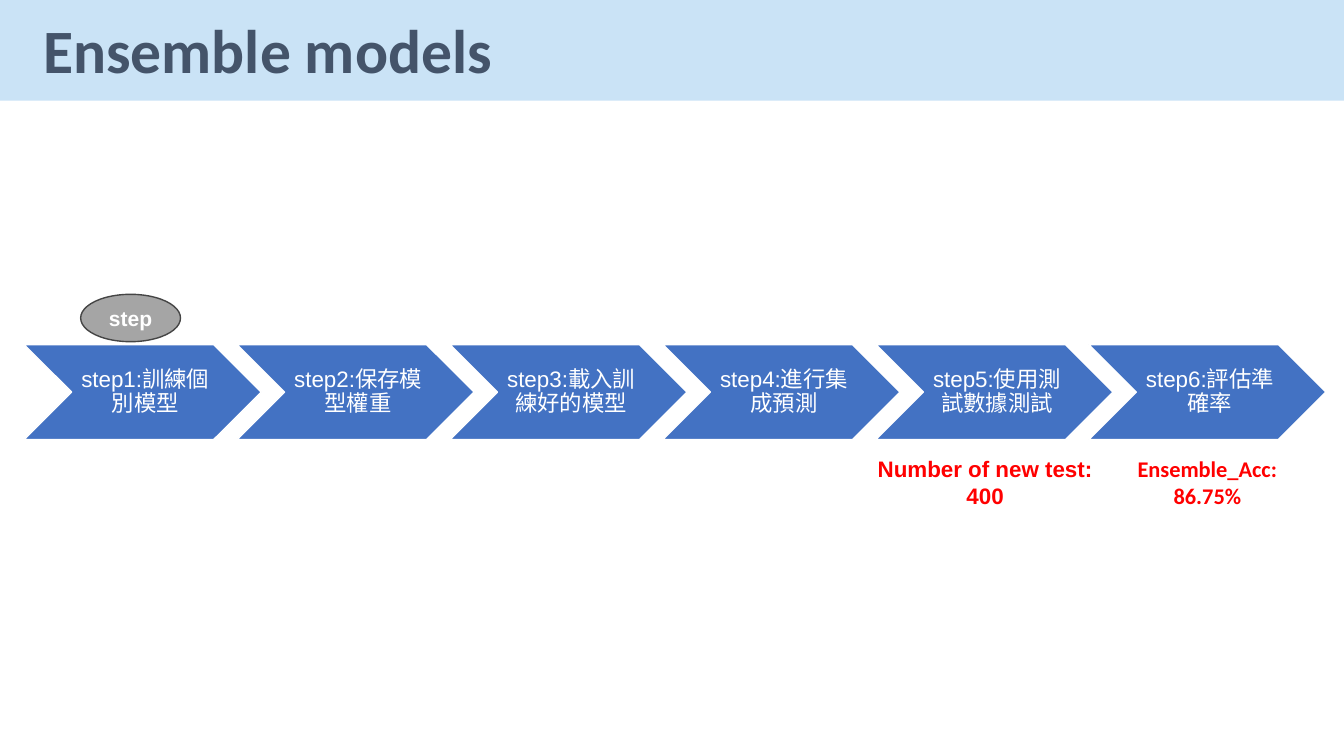
"""Build the Ensemble models slide with its six-step chevron process."""
import pptx
import pptx.dml.color
import pptx.enum.shapes
import pptx.enum.text
import pptx.util
from pptx.util import Inches

SHAPES = pptx.enum.shapes.MSO_SHAPE
ALIGN = pptx.enum.text.PP_ALIGN
ANCHOR = pptx.enum.text.MSO_ANCHOR


def paint(target, color):
    if hasattr(target, "solid"):
        target.solid()
        target = target.fore_color
    else:
        target = target.color
    target.rgb = pptx.dml.color.RGBColor.from_string(color)


def write(shape, lines, size, name, color, bold, align=ALIGN.CENTER,
          anchor=ANCHOR.TOP, margins=(0.1, 0.05, 0.1, 0.05), spacing=1.0):
    frame = shape.text_frame
    left, top, right, bottom = map(Inches, margins)
    frame_format = {
        "text": "\n".join(lines), "word_wrap": True, "vertical_anchor": anchor,
        "auto_size": pptx.enum.text.MSO_AUTO_SIZE.NONE,
        "margin_left": left, "margin_top": top,
        "margin_right": right, "margin_bottom": bottom,
    }
    for key, value in frame_format.items():
        setattr(frame, key, value)
    for paragraph in frame.paragraphs:
        paragraph.alignment = align
        paragraph.line_spacing = spacing
        for run in paragraph.runs:
            font_format = {"size": pptx.util.Pt(size), "name": name, "bold": bold}
            for key, value in font_format.items():
                setattr(run.font, key, value)
            paint(run.font.fill, color)


presentation = pptx.Presentation()
presentation.slide_width = Inches(13.33)
presentation.slide_height = Inches(7.5)
slide = presentation.slides.add_slide(presentation.slide_layouts[5])
shapes = slide.shapes

title = shapes.title
title_box = {"left": 0.33, "top": 0.07, "width": 6.67, "height": 0.84}
for key, value in title_box.items():
    setattr(title, key, Inches(value))
write(title, ["Ensemble models"], 44, "Calibri", "44546A", True, ALIGN.LEFT)

band = shapes.add_shape(SHAPES.RECTANGLE, 0, 0, presentation.slide_width, Inches(1))
band.shadow.inherit = False
paint(band.fill, "CAE3F6")
band.line.fill.background()
title.element.addprevious(band.element)

steps = ["訓練個別模型", "保存模型權重", "載入訓練好的模型",
         "進行集成預測", "使用測試數據測試", "評估準確率"]
step_pitch = 2.112
for index, step in enumerate(steps):
    chevron = shapes.add_shape(
        SHAPES.CHEVRON, Inches(0.24 + index * step_pitch), Inches(3.42),
        Inches(2.35), Inches(0.94))
    chevron.shadow.inherit = False
    paint(chevron.fill, "4372C3")
    paint(chevron.line, "FFFFFF")
    chevron.line.width = pptx.util.Pt(1)
    write(chevron, [f"step{index + 1}:{step}"], 16, "Arial", "FFFFFF", False,
          anchor=ANCHOR.MIDDLE, margins=(0.07, 0.02, 0.02, 0.02), spacing=0.9)

results = [
    (8.56, 2.42, 0.88, "Arial", ["Number of new test:", "400"]),
    (10.85, 2.25, 0.64, "Calibri", ["Ensemble_Acc:", "86.75%"]),
]
for left, width, height, font_name, lines in results:
    result = shapes.add_textbox(
        Inches(left), Inches(4.47), Inches(width), Inches(height))
    write(result, lines, 16, font_name, "FF0000", True)

badge = shapes.add_shape(
    SHAPES.OVAL, Inches(0.8), Inches(2.92), Inches(0.99), Inches(0.47))
badge.shadow.inherit = False
paint(badge.fill, "A5A5A5")
paint(badge.line, "454545")
badge.line.width = pptx.util.Pt(1)
write(badge, ["step"], 15, "Arial", "FFFFFF", True, anchor=ANCHOR.MIDDLE)

presentation.save("out.pptx")
